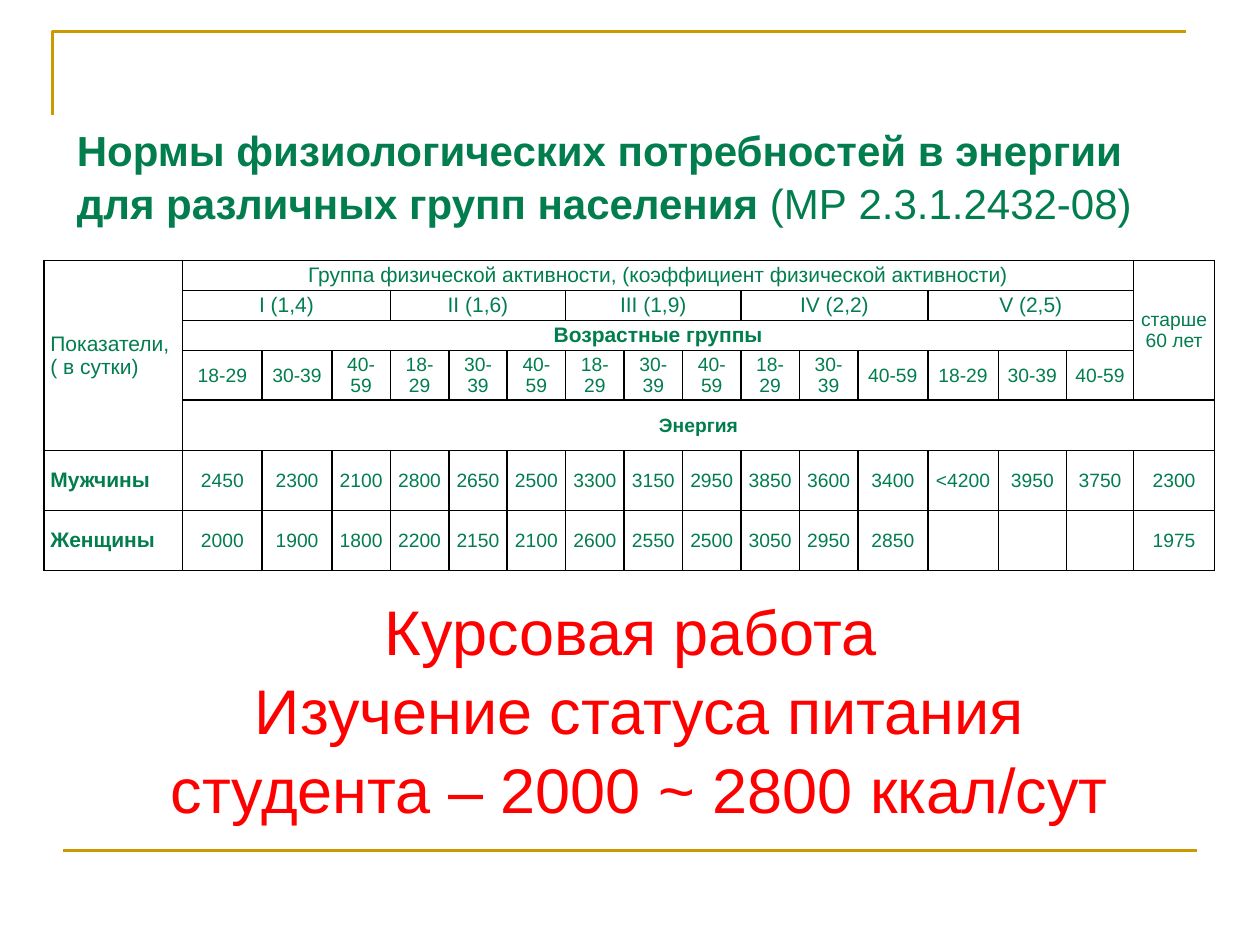
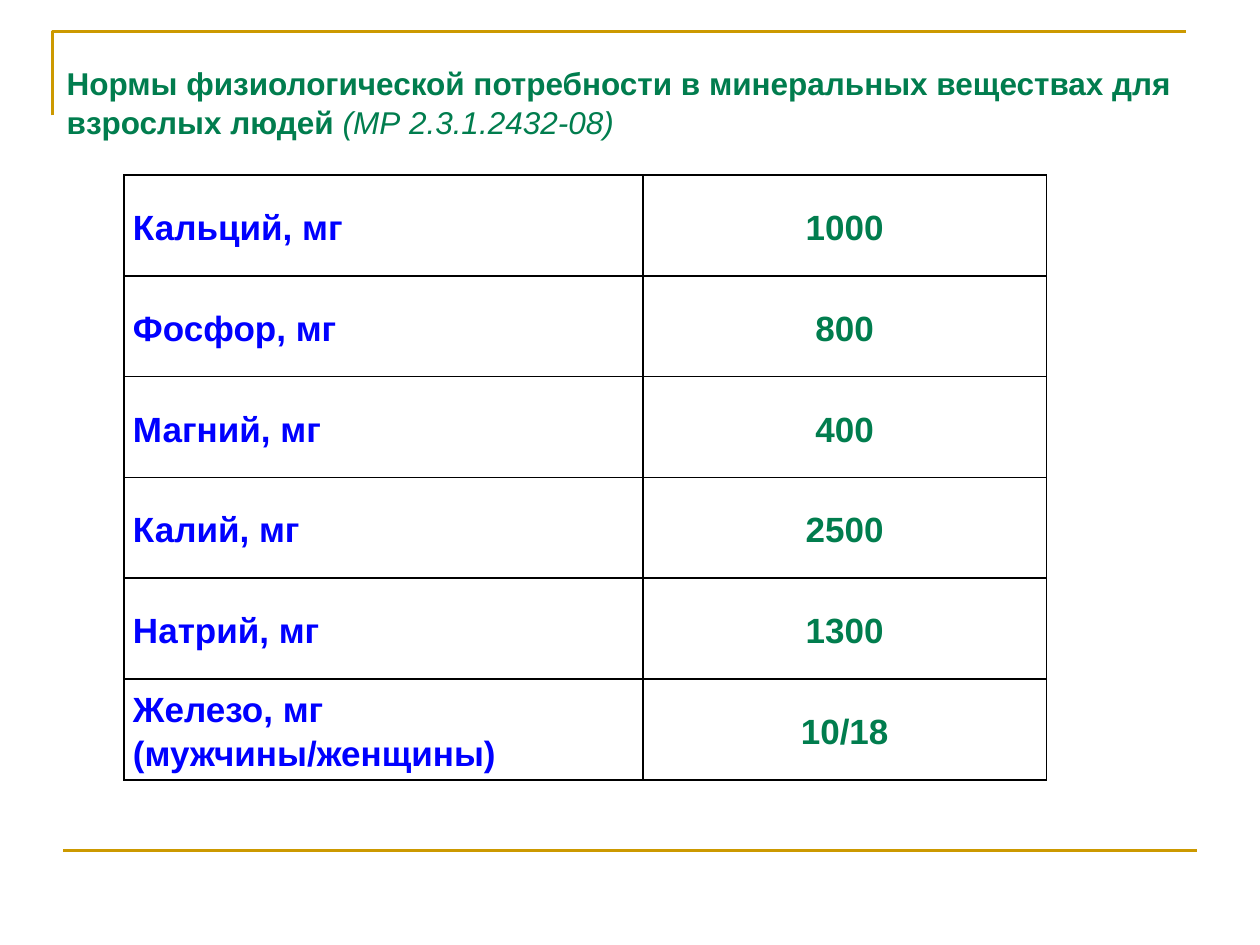
from lxml.etree import SubElement as Sub
from pptx import Presentation
from pptx.dml.color import RGBColor as Rgb
from pptx.enum.shapes import MSO_CONNECTOR as Link
from pptx.enum.text import MSO_ANCHOR as Anchor, PP_ALIGN as Align
from pptx.oxml.ns import qn
from pptx.util import Pt

HUES = {"green": "017D4E", "blue": "0000FF", "red": "FF0000",
        "gold": "CC9900", "black": "000000"}
FONT = "Arial"
AGES = ["18-29", "30-39", "40-59"]
LEVELS = ["I (1,4)", "II (1,6)", "III (1,9)", "IV (2,2)", "V (2,5)"]
MEN = ["2450", "2300", "2100", "2800", "2650", "2500", "3300", "3150",
       "2950", "3850", "3600", "3400", "<4200", "3950", "3750", "2300"]
WOMEN = ["2000", "1900", "1800", "2200", "2150", "2100", "2600", "2550",
         "2500", "3050", "2950", "2850", "", "", "", "1975"]
DOSES = [("Кальций, мг", "1000"), ("Фосфор, мг", "800"),
         ("Магний, мг", "400"), ("Калий, мг", "2500"),
         ("Натрий, мг", "1300"), ("Железо, мг (мужчины/женщины)", "10/18")]


def tint(name):
    return Rgb.from_string(HUES[name])


def write(frame, paras, size=12, hue="green", bold=False, align=Align.LEFT, space=1.0):
    for num, runs in enumerate(paras):
        para = frame.add_paragraph() if num else frame.paragraphs[0]
        para.alignment = align
        para.line_spacing = space
        for text, extra in [(runs, {})] if isinstance(runs, str) else runs:
            for row, part in enumerate(text.split("\n")):
                if row:
                    para.add_line_break()
                run = para.add_run()
                run.text = part
                font = run.font
                font.name, font.size = FONT, Pt(size)
                font.bold = extra.get("bold", bold)
                font.italic = extra.get("italic", False)
                font.color.rgb = tint(hue)


def add_text(slide, box, paras, **form):
    frame = slide.shapes.add_textbox(*map(Pt, box)).text_frame
    frame.word_wrap = True
    write(frame, paras, space=1.05, **form)


def add_title(slide, box, head, code, size, **form):
    add_text(slide, box, [[(head, {"bold": True}), (code, form)]], size=size)


def add_frame(slide):
    path = slide.shapes.build_freeform(Pt(30), Pt(66))
    path.add_line_segments([(Pt(30), Pt(18)), (Pt(678), Pt(18))], close=False)
    edge = path.convert_to_shape()
    edge.shadow.inherit = False
    edge.fill.background()
    base = slide.shapes.add_connector(Link.STRAIGHT, Pt(36), Pt(486), Pt(684), Pt(486))
    Sub(base.element.spPr, qn("a:effectLst"))
    for shape in (edge, base):
        shape.line.color.rgb = tint("gold")
        shape.line.width = Pt(1.5)


def add_grid(slide, left, top, cols, rows, inset):
    shape = slide.shapes.add_table(len(rows), len(cols), Pt(left), Pt(top),
                                   Pt(sum(cols)), Pt(sum(rows)))
    grid = shape.table
    grid.first_row = grid.horz_banding = False
    for col, width in zip(grid.columns, cols):
        col.width = Pt(width)
    for row, height in zip(grid.rows, rows):
        row.height = Pt(height)
    for cell in grid.iter_cells():
        cell.margin_left = cell.margin_right = Pt(inset)
        cell.margin_top = cell.margin_bottom = 0
        cell.vertical_anchor = Anchor.MIDDLE
        props = cell._tc.get_or_add_tcPr()
        for side in "LRTB":
            line = Sub(props, qn(f"a:ln{side}"), w=str(Pt(1)))
            paint = Sub(line, qn("a:solidFill"))
            Sub(paint, qn("a:srgbClr"), val=HUES["black"])
        cell.fill.background()
    return grid


def put(grid, row, col, paras, down=1, wide=1, **form):
    cell = grid.cell(row, col)
    if down * wide > 1:
        cell.merge(grid.cell(row + down - 1, col + wide - 1))
    write(cell.text_frame, paras, **form)


def add_needs(slide):
    cols = [79.2, 45.4, 39.9] + [33.4] * 9 + [40, 40.3, 38.9, 38.5, 46.1]
    rows = [17.2] * 3 + [28.4, 28.6, 34.2, 34.2]
    grid = add_grid(slide, 25.2, 148.8, cols, rows, 3.6)
    mid = {"align": Align.CENTER}
    small = {"size": 11, **mid}
    put(grid, 0, 0, ["Показатели,", "( в сутки)"], down=5)
    put(grid, 0, 1, ["Группа физической активности, (коэффициент физической активности)"],
        wide=15, **mid)
    put(grid, 0, 16, ["старше", "60 лет"], down=4, **small)
    for num, level in enumerate(LEVELS):
        put(grid, 1, 1 + 3 * num, [level], wide=3, **mid)
    put(grid, 2, 1, ["Возрастные группы"], wide=15, bold=True, **mid)
    for col, age in enumerate(AGES * len(LEVELS), 1):
        put(grid, 3, col, [age], **small)
    put(grid, 4, 1, ["Энергия"], wide=16, bold=True, **small)
    for row, (name, norms) in enumerate([("Мужчины", MEN), ("Женщины", WOMEN)], 5):
        put(grid, row, 0, [name], bold=True)
        for col, norm in enumerate(norms, 1):
            put(grid, row, col, [norm], **small)
    for cell in grid.iter_cells():
        if cell.is_spanned:
            write(cell.text_frame, [""], size=8)


def add_doses(slide):
    grid = add_grid(slide, 70.8, 100, [296.6, 230.6], [57.6] * len(DOSES), 5.2)
    form = {"size": 20, "bold": True, "space": 1.15}
    for row, (name, dose) in enumerate(DOSES):
        put(grid, row, 0, [name], hue="blue", **form)
        put(grid, row, 1, [dose], align=Align.CENTER, **form)


def main():
    deck = Presentation()
    deck.slide_width, deck.slide_height = Pt(720), Pt(540)
    needs, doses = [deck.slides.add_slide(deck.slide_layouts[6]) for _ in range(2)]
    for slide in (needs, doses):
        add_frame(slide)
    code = "(МР 2.3.1.2432-08)"
    add_title(needs, (36.8, 66.2, 646.6, 65.5),
              "Нормы физиологических потребностей в энергии "
              "для различных групп населения ", code, 24)
    add_needs(needs)
    add_text(needs, (36.8, 332.6, 657.4, 138.2),
             ["Курсовая работа \nИзучение статуса питания",
              "студента – 2000 ~ 2800 ккал/сут"],
             size=36, hue="red", align=Align.CENTER)
    add_title(doses, (31, 31.7, 646.6, 51.1),
              "Нормы физиологической потребности в минеральных веществах "
              "для взрослых людей ", code, 18, italic=True)
    add_doses(doses)
    deck.save("out.pptx")


if __name__ == "__main__":
    main()
